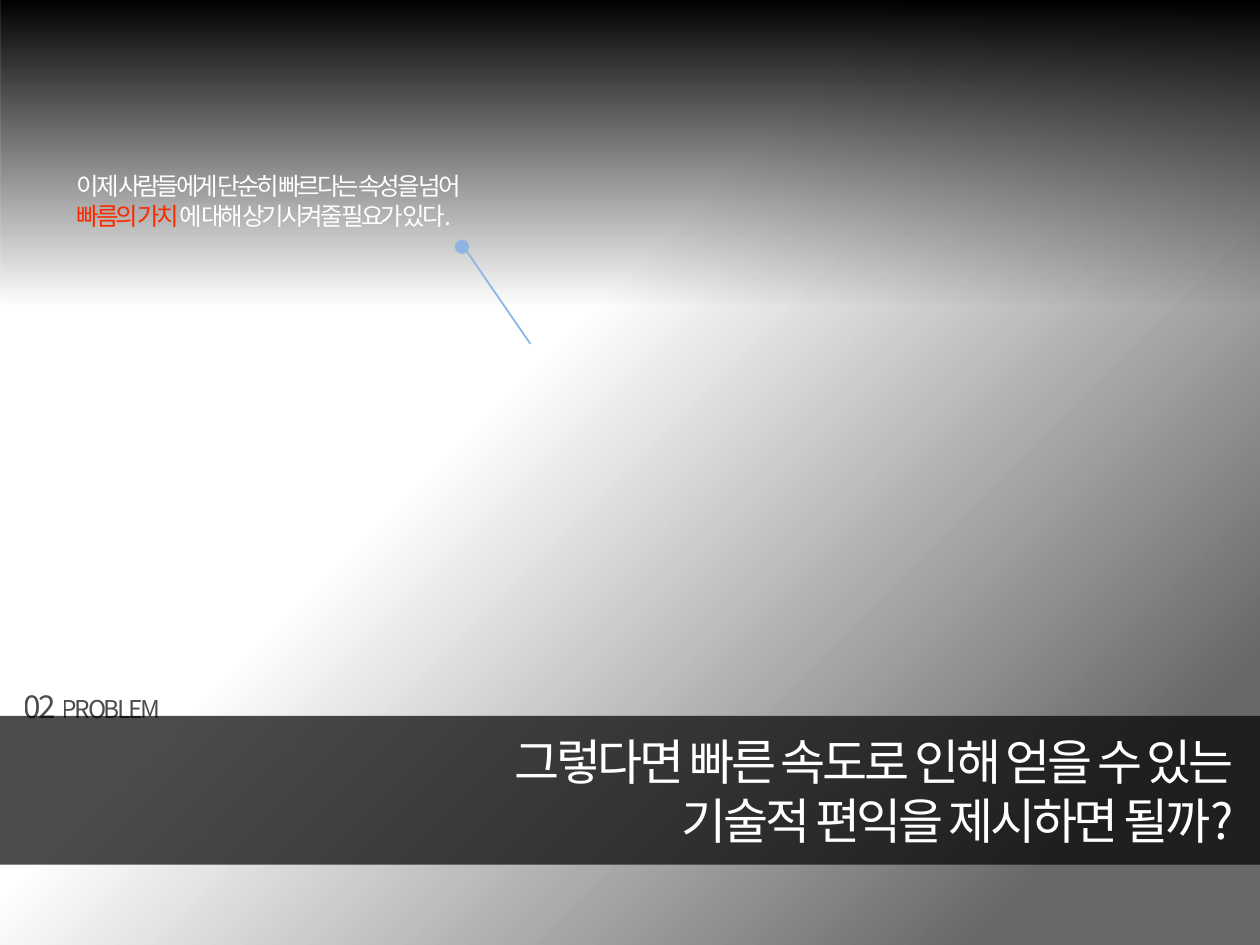
"""Build the problem slide: shaded backdrop, claim, pointer and question bar."""
from lxml import etree
from pptx import Presentation, util as u
from pptx.dml.color import RGBColor
from pptx.enum import shapes, text
from pptx.oxml import parse_xml
from pptx.oxml.ns import nsdecls, qn

FONT = "Noto Sans CJK KR"
BLACK, WHITE, RED, BLUE = "000000", "FFFFFF", "FA2A00", "8EB4E3"
WIDE, HIGH = 25.4, 19.05
GLOW = '<a:path path="circle"><a:fillToRect r="100000" b="100000"/></a:path>'
FADE = '<a:lin ang="5400000" scaled="0"/>'

SHADES = [
    ((0, 0, WIDE, HIGH), 0, [(41, 0), (86, 58)], GLOW),
    ((0, 0, WIDE, 9.32), 180, [(34, 0), (100, 100)], FADE),
]
BAR = (0, 14.43, WIDE, 3)
LINE = (9.35, 4.98, 10.69, 6.93)
DOT = (9.19, 4.85, 0.25, 0.25)

TEXTS = [
    ((0.23, 14.63, 24.89, 2.64), 28, -1.8, "RIGHT", [
        [("그렇다면 빠른 속도로 인해 얻을 수 있는", 28, WHITE, 100)],
        [("기술적 편익을 제시하면 될까?", 28, WHITE, 100)],
    ]),
    ((0.23, 13.72, 12.8, 1.02), 14, -1.4, "LEFT", [
        [("02", 18, BLACK, 70), (" ", 14, RED, 100), ("PROBLEM", 14, BLACK, 70)],
    ]),
    ((1.3, 3.33, 9.19, 1.45), 14, -1.8, "LEFT", [
        [("이제 사람들에게 단순히 빠르다는 속성을 넘어", 14, WHITE, 100), None,
         ("빠름의 가치", 14, RED, 100),
         ("에 대해 상기시켜줄 필요가 있다.", 14, WHITE, 100)],
    ]),
]


def cm(box):
    return [u.Cm(n) for n in box]


def paint(fill, hue, alpha=100):
    fill.solid()
    fill.fore_color.rgb = RGBColor.from_string(hue)
    if alpha < 100:
        tone = fill._xPr.find(".//" + qn("a:srgbClr"))
        etree.SubElement(tone, qn("a:alpha")).set("val", str(alpha * 1000))


def shape(slide, kind, box):
    item = slide.shapes.add_shape(kind, *cm(box))
    item.shadow.inherit = False
    item.line.fill.background()
    return item


def shade(slide, box, turn, stops, way):
    item = shape(slide, shapes.MSO_SHAPE.RECTANGLE, box)
    item.rotation = turn
    marks = "".join(
        f'<a:gs pos="{pos * 1000}"><a:srgbClr val="{BLACK}">'
        f'<a:alpha val="{alpha * 1000}"/></a:srgbClr></a:gs>'
        for pos, alpha in stops)
    grad = parse_xml(f'<a:gradFill {nsdecls("a")} rotWithShape="1">'
                     f'<a:gsLst>{marks}</a:gsLst>{way}</a:gradFill>')
    item._element.spPr.find(qn("a:prstGeom")).addnext(grad)


def write(slide, box, size, gap, side, rows):
    frame = slide.shapes.add_textbox(*cm(box)).text_frame
    frame.word_wrap = True
    frame.auto_size = text.MSO_AUTO_SIZE.SHAPE_TO_FIT_TEXT
    for i, row in enumerate(rows):
        para = frame.add_paragraph() if i else frame.paragraphs[0]
        para.alignment = text.PP_ALIGN[side]
        para.font.name, para.font.size = FONT, u.Pt(size)
        base = para.font._rPr
        base.set("spc", str(round(gap * 100)))
        etree.SubElement(base, qn("a:ea")).set("typeface", FONT)
        for part in row:
            if part is None:
                para.add_line_break()
                continue
            run = para.add_run()
            run.text, pts, hue, alpha = part
            if pts != size:
                run.font.size = u.Pt(pts)
            paint(run.font.fill, hue, alpha)


def main():
    deck = Presentation()
    deck.slide_width, deck.slide_height = cm((WIDE, HIGH))
    slide = deck.slides.add_slide(deck.slide_layouts[6])
    for item in SHADES:
        shade(slide, *item)
    bar = shape(slide, shapes.MSO_SHAPE.RECTANGLE, BAR)
    paint(bar.fill, BLACK, 70)
    for item in TEXTS:
        write(slide, *item)
    line = slide.shapes.add_connector(shapes.MSO_CONNECTOR.STRAIGHT, *cm(LINE))
    etree.SubElement(line._element.spPr, qn("a:effectLst"))
    dot = shape(slide, shapes.MSO_SHAPE.OVAL, DOT)
    paint(dot.fill, BLUE)
    for item in (line, dot):
        paint(item.line.fill, BLUE)
        item.line.width = u.Pt(1)
    line._element.spPr.append(line._element.spPr.find(qn("a:effectLst")))
    deck.save("out.pptx")


if __name__ == "__main__":
    main()
